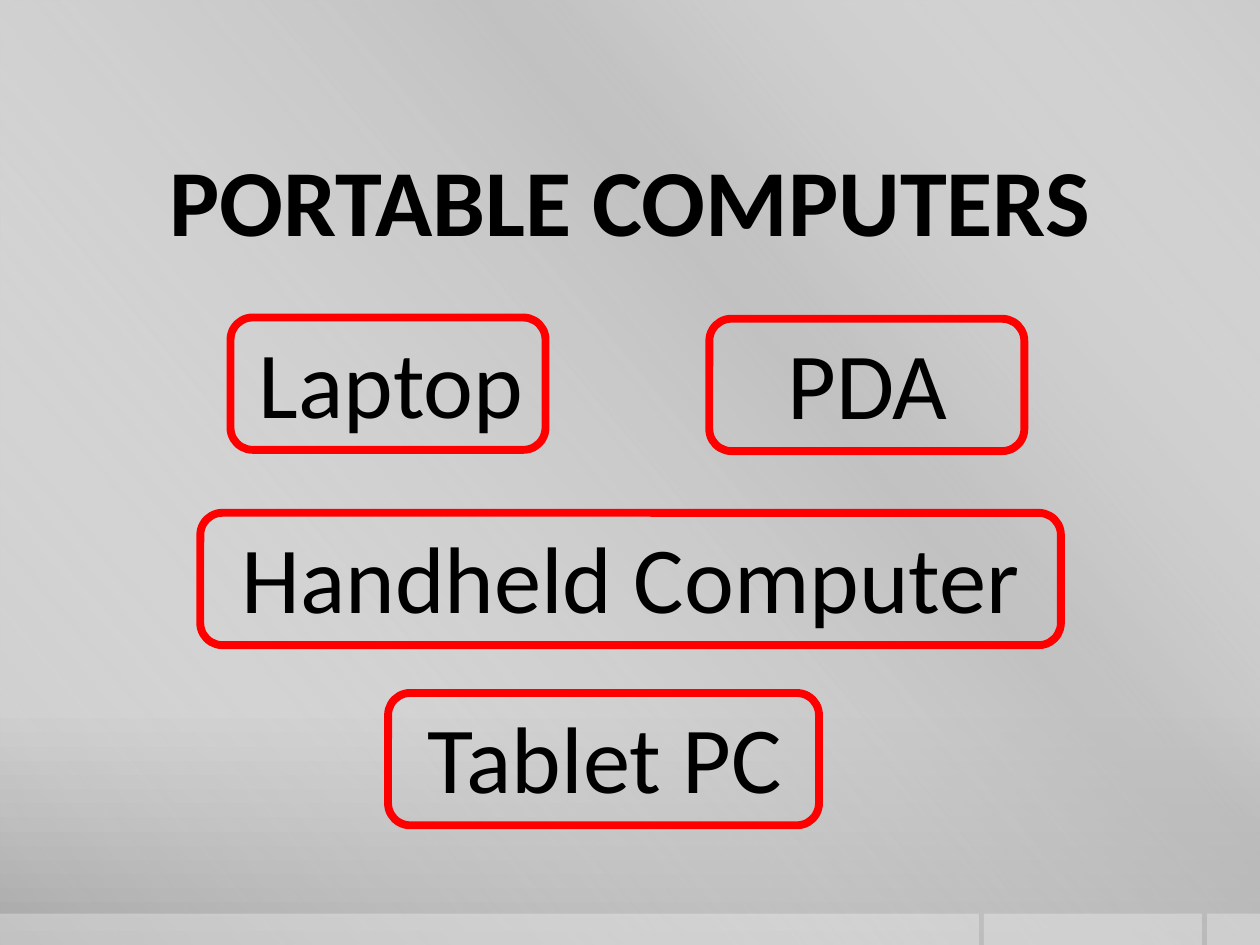
"""Build the portable computers slide."""
from lxml.etree import SubElement
from pptx import Presentation
from pptx.dml.color import RGBColor
from pptx.enum.shapes import MSO_SHAPE
from pptx.enum.text import MSO_ANCHOR, PP_ALIGN
from pptx.oxml.ns import qn
from pptx.util import Inches, Pt

THEME = {
    "font": "Calibri",
    "size": Pt(54),
    "text": RGBColor.from_string("000000"),
    "frame": RGBColor.from_string("FF0000"),
    "frame_width": Pt(4.5),
    "backdrop": [(0, "CBCBCB", 100), (76, "C8C8C8", 100), (100, "A7A7A7", 100)],
    "sheen": [(0, "FFFFFF", 0), (34, "BFBFBF", 61), (38, "BFBFBF", 76), (100, "FFFFFF", 0)],
    "strip": [(0, "FFFFFF", 30), (100, "FFFFFF", 30)],
}

deck = Presentation()
deck.slide_width, deck.slide_height = Inches(10), Inches(7.5)
column, row = deck.slide_width / 10, deck.slide_height / 7.5
page = deck.slides.add_slide(deck.slide_layouts[6])


def paint_gradient(fill, element, stops, angle):
    fill.solid()
    fill.fore_color.rgb = THEME["text"]
    solid = next(element.iter(qn("a:solidFill")))
    gradient = solid.makeelement(qn("a:gradFill"), {"rotWithShape": "1"})
    stop_list = SubElement(gradient, qn("a:gsLst"))
    for position, color, opacity in stops:
        stop = SubElement(stop_list, qn("a:gs"), pos=str(position * 1000))
        paint = SubElement(stop, qn("a:srgbClr"), val=color)
        SubElement(paint, qn("a:alpha"), val=str(opacity * 1000))
    SubElement(gradient, qn("a:lin"), ang=str(angle * 60000), scaled="0")
    solid.getparent().replace(solid, gradient)


def add_label(text, left, top, width, height):
    box = page.shapes.add_textbox(*map(round, (left * column, top * row, width * column, height * row)))
    box.text_frame.word_wrap = True
    para = box.text_frame.paragraphs[0]
    para.alignment = PP_ALIGN.CENTER
    span = para.add_run()
    span.text = text
    span.font.name, span.font.size = THEME["font"], THEME["size"]
    span.font.color.rgb = THEME["text"]
    return box, span


paint_gradient(page.background.fill, page._element, THEME["backdrop"], 90)
panels = [
    (0, 0, 10, 7.5, "sheen", 140),
    (9.58, 7.25, 0.42, 0.25, "strip", 0),
    (7.81, 7.25, 1.73, 0.25, "strip", 0),
    (0, 7.25, 7.77, 0.25, "strip", 0),
]
for left, top, width, height, stops, angle in panels:
    panel = page.shapes.add_shape(
        MSO_SHAPE.RECTANGLE, *map(round, (left * column, top * row, width * column, height * row)))
    panel.shadow.inherit = False
    panel.line.fill.background()
    paint_gradient(panel.fill, panel._element, THEME[stops], angle)

title, title_span = add_label("PORTABLE COMPUTERS", 0.5, 1.08, 9, 1)
title.text_frame.vertical_anchor = MSO_ANCHOR.MIDDLE
title.text_frame.margin_left = title.text_frame.margin_right = 0
title_span.font.bold = True

computers = [
    ("PDA", 5.01, 2.53, 3.75, 5.63, 2.5),
    ("Handheld Computer", 1.59, 4.07, 6.83, 1.59, 6.83),
    ("Tablet PC", 2.59, 5.5, 4.42, 3.08, 3.42),
    ("Laptop", 1, 2.52, 4.21, 1.83, 2.5),
]
for name, label_left, top, label_width, frame_left, frame_width in computers:
    label, label_span = add_label(name, label_left, top, label_width, 0.83)
    label.text_frame.paragraphs[0].space_after = Pt(6)
    frame = page.shapes.add_shape(
        MSO_SHAPE.ROUNDED_RECTANGLE,
        *map(round, (frame_left * column, top * row, frame_width * column, 1.05 * row)))
    frame.shadow.inherit = False
    frame.fill.background()
    frame.line.color.rgb, frame.line.width = THEME["frame"], THEME["frame_width"]

deck.save("out.pptx")
